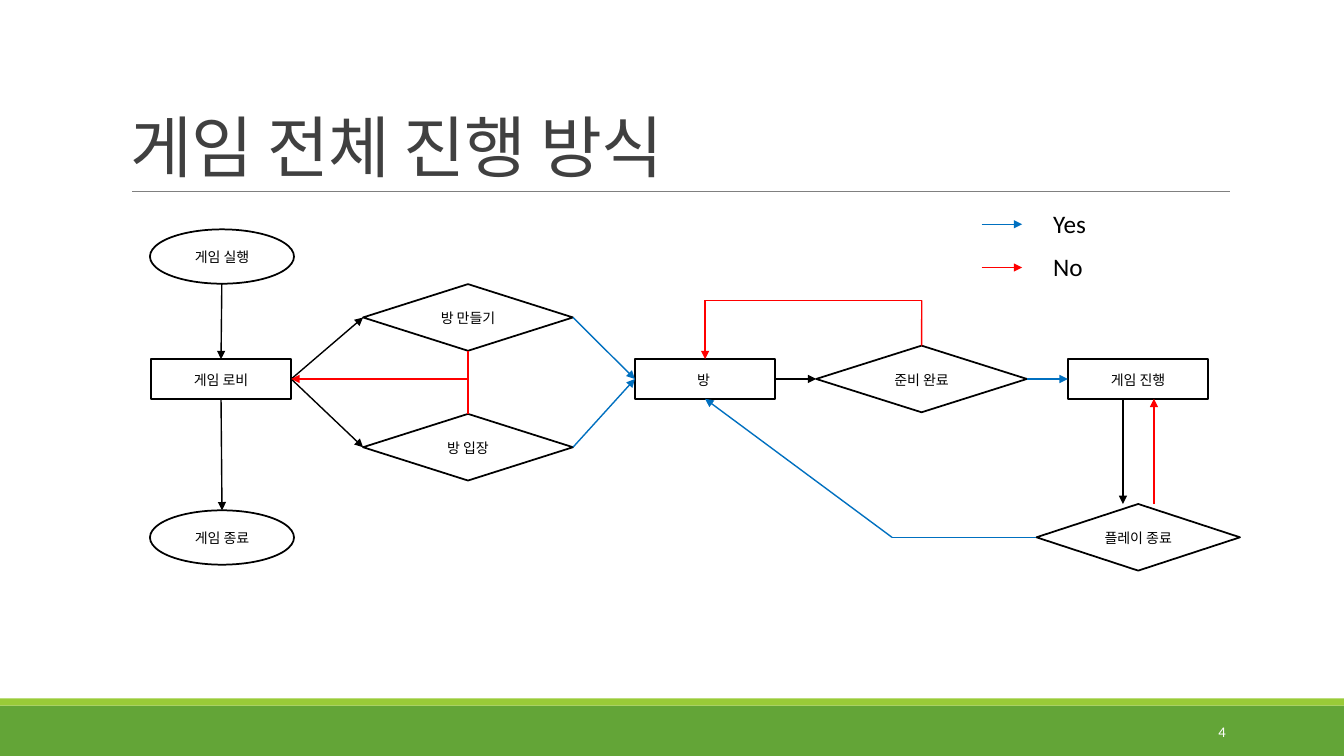
"""Build the game flow slide: a flowchart with a yes/no legend."""
from collections import namedtuple
from dataclasses import dataclass

from lxml import etree
from pptx import Presentation
from pptx import util as u
from pptx.dml import color as c
from pptx.enum import shapes, text
from pptx.oxml import ns

Joint = namedtuple("Joint", "shape side")
TOP, LEFT, BOTTOM, RIGHT = range(4)


@dataclass(frozen=True)
class Theme:
    """Colours, font and sizes of the slide."""
    font: str = "Calibri"
    ink: str = "000000"
    paper: str = "FFFFFF"
    heading: str = "404040"
    rule: str = "808080"
    band: str = "63A537"
    stripe: str = "99CB38"
    yes: str = "0070C0"
    no: str = "FF0000"
    title_size: float = 48
    legend_size: float = 18
    node_size: float = 10
    number_size: float = 10.5
    outline: float = 1.25
    arrow: float = 1
    hairline: float = 0.5


THEME = Theme()


def rgb(value):
    """Turn a hex string into a colour."""
    return c.RGBColor.from_string(value)


def write(sp, content, size, color=THEME.ink, align=text.PP_ALIGN.LEFT,
          anchor=text.MSO_ANCHOR.TOP, spacing=None, after=None, tracking=None):
    """Put one formatted paragraph into a shape."""
    tf = sp.text_frame
    tf.word_wrap = True
    tf.vertical_anchor = anchor
    p = tf.paragraphs[0]
    p.alignment = align
    p.line_spacing = spacing
    if after is not None:
        p.space_after = u.Pt(after)
    r = p.add_run()
    r.text = content
    r.font.name = THEME.font
    r.font.size = u.Pt(size)
    r.font.color.rgb = rgb(color)
    if tracking is not None:
        r.font._element.set("spc", str(tracking))


def add_label(s, box, content, size, **fmt):
    """Add a text box."""
    write(s.shapes.add_textbox(*map(u.Cm, box)), content, size, **fmt)


def add_block(s, kind, box, fill, line=None):
    """Add a filled preset shape with an optional outline."""
    sp = s.shapes.add_shape(kind, *map(u.Cm, box))
    sp.shadow.inherit = False
    sp.fill.solid()
    sp.fill.fore_color.rgb = rgb(fill)
    if line:
        sp.line.color.rgb = rgb(line)
        sp.line.width = u.Pt(THEME.outline)
    else:
        sp.line.fill.background()
    return sp


def add_node(s, kind, box, content):
    """Add one flowchart node."""
    sp = add_block(s, kind, box, THEME.paper, THEME.ink)
    write(sp, content, THEME.node_size, align=text.PP_ALIGN.CENTER,
          anchor=text.MSO_ANCHOR.MIDDLE, spacing=1.07, after=8)
    return sp


def add_line(s, start, end, color, width, arrow):
    """Add a straight connector between points or joints."""
    begin_at, end_at = [(0, 0) if isinstance(stop, Joint) else map(u.Cm, stop)
                        for stop in (start, end)]
    cx = s.shapes.add_connector(shapes.MSO_CONNECTOR.STRAIGHT, *begin_at, *end_at)
    if isinstance(start, Joint):
        cx.begin_connect(*start)
    if isinstance(end, Joint):
        cx.end_connect(*end)
    cx.line.color.rgb = rgb(color)
    cx.line.width = u.Pt(width)
    if arrow:
        etree.SubElement(cx.line._get_or_add_ln(), ns.qn("a:tailEnd"), type="triangle")
    etree.SubElement(cx._element.spPr, ns.qn("a:effectLst"))


def add_route(s, *stops, color=THEME.ink, width=THEME.arrow, arrow=True):
    """Join the stops in order, with the arrowhead on the last leg."""
    legs = list(zip(stops, stops[1:]))
    for i, (start, end) in enumerate(legs, 1):
        add_line(s, start, end, color, width, arrow and i == len(legs))


def add_frame(s):
    """Add the footer bands, title, rule and slide number."""
    rect = shapes.MSO_SHAPE.RECTANGLE
    add_block(s, rect, (0, 17.78, 33.87, 1.27), THEME.band)
    add_block(s, rect, (0, 17.6, 33.87, 0.18), THEME.stripe)
    add_route(s, (3.33, 4.82), (31, 4.82), color=THEME.rule,
              width=THEME.hairline, arrow=False)
    add_label(s, (3.05, 0.79, 27.94, 4.04), "게임 전체 진행 방식", THEME.title_size,
              color=THEME.heading, anchor=text.MSO_ANCHOR.BOTTOM, spacing=0.85,
              tracking=-50)
    add_label(s, (27.51, 17.93, 3.63, 1.02), "4", THEME.number_size, color=THEME.paper,
              align=text.PP_ALIGN.RIGHT, anchor=text.MSO_ANCHOR.MIDDLE)


def add_legend(s):
    """Add the yes and no keys."""
    for i, (name, color) in enumerate((("Yes", THEME.yes), ("No", THEME.no))):
        y = 5.65 + 1.09 * i
        add_route(s, (24.74, y), (25.76, y), color=color)
        add_label(s, (26.29, y - 0.52, 3.53, 1.02), name, THEME.legend_size)


def add_flow(s):
    """Add the flowchart nodes and the routes between them."""
    rect, oval, diamond = (shapes.MSO_SHAPE.RECTANGLE, shapes.MSO_SHAPE.OVAL,
                           shapes.MSO_SHAPE.DIAMOND)
    add_node(s, oval, (3.78, 5.78, 3.63, 1.37), "게임 실행")
    quit_game = add_node(s, oval, (3.78, 12.86, 3.63, 1.37), "게임 종료")
    lobby, room, play = [add_node(s, rect, (x, 9.05, 3.54, 1), name) for x, name in
                         ((3.8, "게임 로비"), (16, "방 "), (26.91, "게임 진행"))]
    create, enter = [add_node(s, diamond, (9.15, y, 5.29, 1.68), name) for y, name in
                     ((7.16, "방 만들기"), (10.43, "방 입장"))]
    ready = add_node(s, diamond, (20.57, 8.71, 5.31, 1.68), "준비 완료")
    finish = add_node(s, diamond, (26.12, 12.7, 5.13, 1.68), "플레이 종료")

    add_route(s, (5.59, 7.15), Joint(lobby, TOP))
    add_route(s, Joint(lobby, BOTTOM), Joint(quit_game, TOP))
    for choice in (create, enter):
        add_route(s, Joint(lobby, RIGHT), Joint(choice, LEFT))
        add_route(s, Joint(choice, RIGHT), Joint(room, LEFT), color=THEME.yes)
    add_route(s, Joint(create, BOTTOM), Joint(enter, TOP), color=THEME.no, arrow=False)
    add_route(s, (11.8, 9.55), Joint(lobby, RIGHT), color=THEME.no, width=THEME.outline)
    add_route(s, Joint(room, RIGHT), Joint(ready, LEFT))
    add_route(s, Joint(ready, RIGHT), Joint(play, LEFT), color=THEME.yes)
    add_route(s, Joint(ready, TOP), (23.23, 7.57), (17.77, 7.57), Joint(room, TOP),
              color=THEME.no)
    add_route(s, (28.3, 10.05), (28.3, 12.7))
    add_route(s, (29.08, 12.7), (29.08, 10.05), color=THEME.no)
    add_route(s, Joint(finish, LEFT), (22.48, 13.54), Joint(room, BOTTOM),
              color=THEME.yes)


def main():
    """Build and save the slide."""
    prs = Presentation()
    prs.slide_width, prs.slide_height = u.Cm(33.87), u.Cm(19.05)
    s = prs.slides.add_slide(prs.slide_layouts[6])
    add_frame(s)
    add_flow(s)
    add_legend(s)
    prs.save("out.pptx")


if __name__ == "__main__":
    main()
